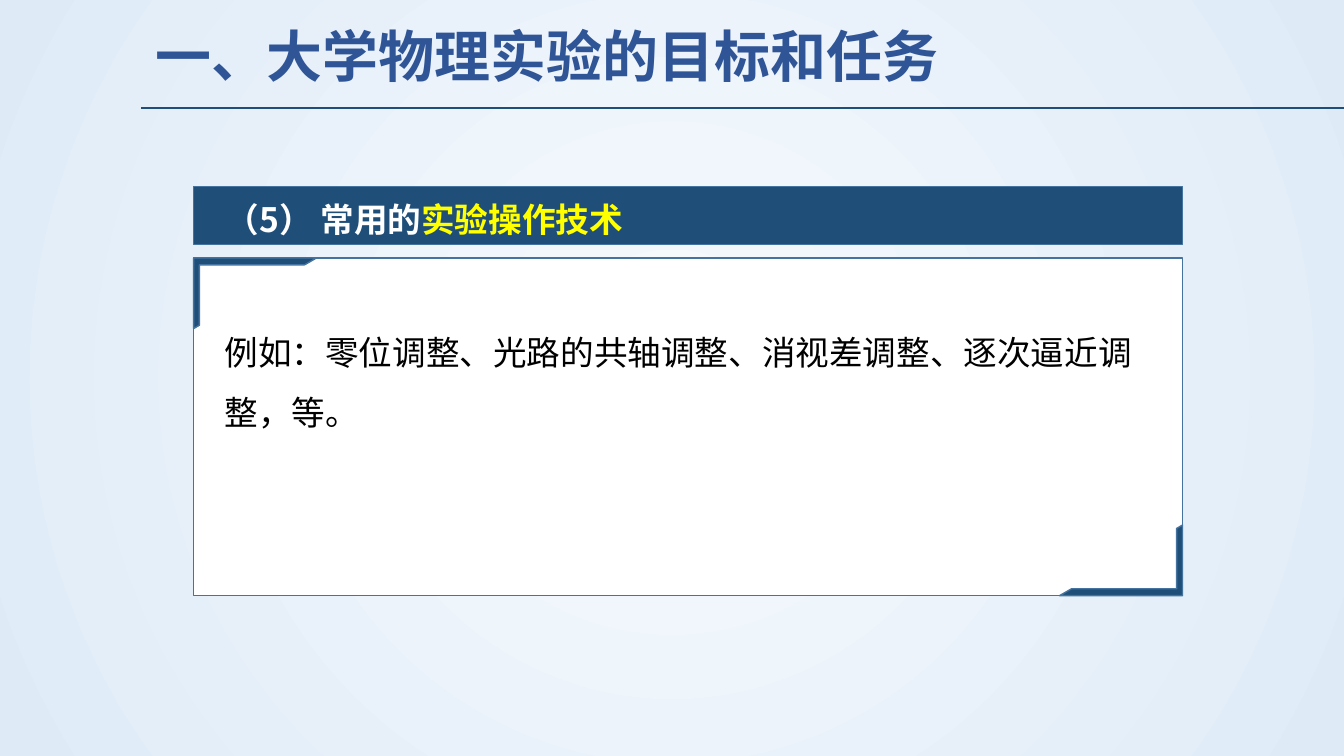
from pptx import Presentation
from pptx.util import Cm, Pt
from pptx.dml.color import RGBColor
from pptx.enum.shapes import MSO_CONNECTOR, MSO_SHAPE
from pptx.enum.text import MSO_ANCHOR, MSO_AUTO_SIZE
from pptx.oxml import parse_xml
from pptx.oxml.ns import nsdecls
from lxml.etree import SubElement

HUE = {"navy": "1F4E79", "edge": "43739E", "title": "2F5597", "white": "FFFFFF",
       "black": "000000", "gold": "FFFF00", "mid": "F7FAFD", "rim": "DEEBF7"}
FONT = "Noto Sans CJK SC"
A = "{http://schemas.openxmlformats.org/drawingml/2006/main}"

deck = Presentation()
deck.slide_width, deck.slide_height = Cm(33.87), Cm(19.05)
slide = deck.slides.add_slide(deck.slide_layouts[6])


def add_box(kind, left, top, width, height, fill):
    box = slide.shapes.add_shape(kind, Cm(left), Cm(top), Cm(width), Cm(height))
    box.shadow.inherit = False
    box.fill.solid()
    box.fill.fore_color.rgb = RGBColor.from_string(HUE[fill])
    box.line.color.rgb = RGBColor.from_string(HUE["edge"])
    box.line.width = Pt(1)
    return box


def add_text(left, top, width, height, runs, size, bold, frame, space):
    box = slide.shapes.add_textbox(Cm(left), Cm(top), Cm(width), Cm(height))
    for key, val in frame.items():
        setattr(box.text_frame, key, val)
    para = box.text_frame.paragraphs[0]
    para.line_spacing = space
    for words, hue in runs:
        run = para.add_run()
        run.text = words
        for key, val in {"name": FONT, "size": Pt(size), "bold": bold}.items():
            setattr(run.font, key, val)
        run.font.color.rgb = RGBColor.from_string(HUE[hue])
        SubElement(run.font._element, A + "ea").set("typeface", FONT)


# Background: glow from the centre
stops = "".join(f'<a:gs pos="{pos}"><a:srgbClr val="{HUE[hue]}"/></a:gs>'
                for pos, hue in ((0, "mid"), (100000, "rim")))
glow = parse_xml(
    f'<p:bg {nsdecls("p", "a")}><p:bgPr><a:gradFill rotWithShape="1">'
    f'<a:gsLst>{stops}</a:gsLst><a:path path="circle">'
    '<a:fillToRect l="50000" t="50000" r="50000" b="50000"/></a:path>'
    '</a:gradFill><a:effectLst/></p:bgPr></p:bg>')
slide.element.cSld.insert(0, glow)

# Rule under the title
rule = slide.shapes.add_connector(MSO_CONNECTOR.STRAIGHT, Cm(3.56), Cm(2.72),
                                  Cm(33.87), Cm(2.72))
rule.line.color.rgb = RGBColor.from_string(HUE["navy"])
rule.line.width = Pt(1.25)
SubElement(rule._element.spPr, A + "effectLst")

# Panel with two corner marks
left, top, width, height = 4.88, 6.5, 24.92, 8.51
wide, high = 3.1, 1.78
add_box(MSO_SHAPE.RECTANGLE, left, top, width, height, "white")
for x, y, turn in ((left, top, 0),
                   (left + width - wide, top + height - high, 180)):
    mark = add_box(MSO_SHAPE.HALF_FRAME, x, y, wide, high, "navy")
    mark.adjustments[0], mark.adjustments[1] = 0.098, 0.083
    mark.rotation = turn

# Heading bar
add_box(MSO_SHAPE.RECTANGLE, left, 4.7, width, 1.47, "navy")

# Texts
grow = {"word_wrap": True, "auto_size": MSO_AUTO_SIZE.SHAPE_TO_FIT_TEXT}
fixed = {"word_wrap": True, "vertical_anchor": MSO_ANCHOR.MIDDLE}
add_text(5.41, 7.72, 23.9, 3.15,
         [("例如：零位调整、光路的共轴调整、消视差调整、逐次逼近调整，等。", "black")],
         24, False, grow, 1.5)
add_text(5.44, 4.9, 23.65, 1.27,
         [("（5） 常用的", "white"), ("实验操作技术", "gold")], 24, True, grow, 1.0)
add_text(3.66, 0.25, 29.03, 2.49,
         [("一、大学物理实验的目标和任务", "title")], 40, True, fixed, 0.9)

deck.save("out.pptx")
